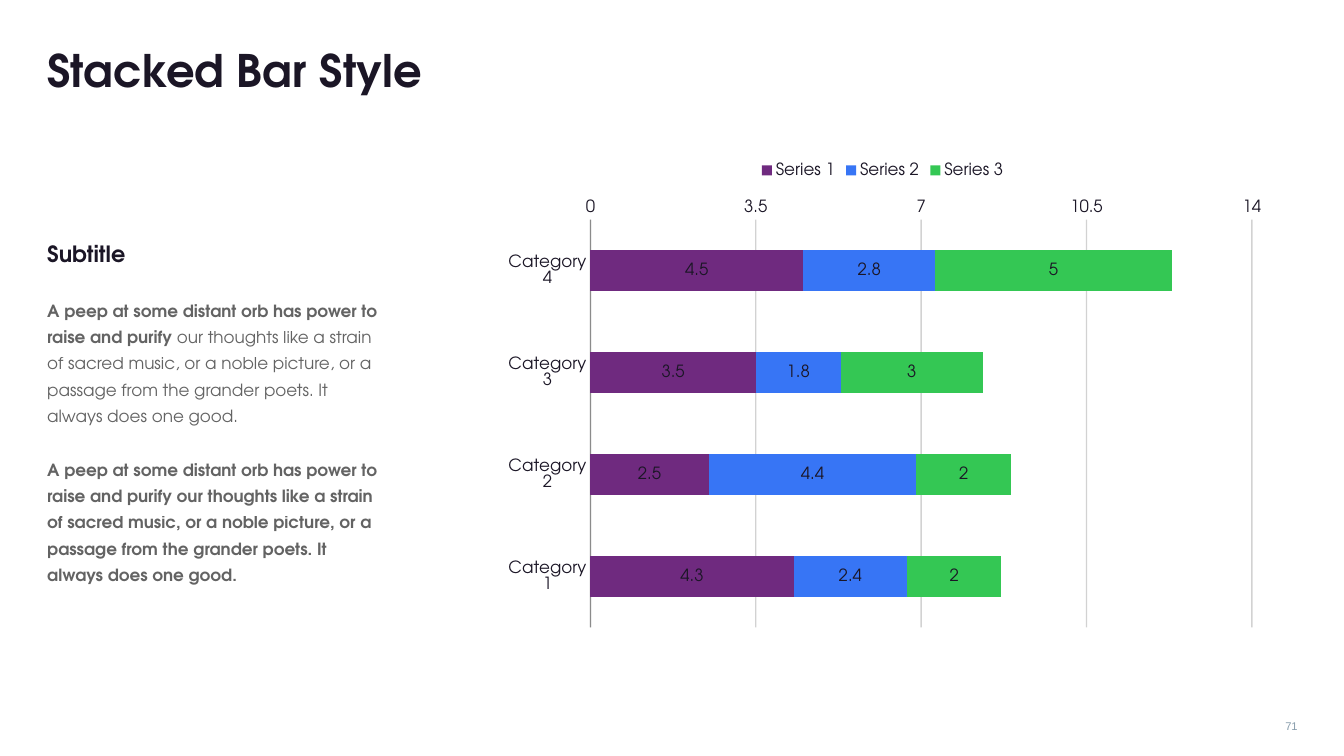
from lxml.etree import SubElement
from pptx import Presentation
from pptx.chart.data import CategoryChartData
from pptx.dml.color import RGBColor
from pptx.enum.chart import (XL_AXIS_CROSSES, XL_CHART_TYPE, XL_LABEL_POSITION,
                             XL_LEGEND_POSITION, XL_TICK_MARK)
from pptx.enum.text import MSO_ANCHOR, PP_ALIGN
from pptx.oxml import parse_xml
from pptx.oxml.ns import nsdecls, qn
from pptx.util import Inches, Pt

FONT = "TeX Gyre Adventor"
INK = "1B1626"
GRAY = "222222"
LEAD = "A peep at some distant orb has power to raise and purify "
REST = ("our thoughts like a strain of sacred music, or a noble picture, "
        "or a passage from the grander poets. It always does one good.")
CATEGORIES = ["Category 4", "Category 3", "Category 2", "Category 1"]
SERIES = [
    ("Series 1", (4.5, 3.5, 2.5, 4.3), "6F2A7F"),
    ("Series 2", (2.8, 1.8, 4.4, 2.4), "3775F5"),
    ("Series 3", (5, 3, 2, 2), "34C754"),
]
PLOT_LAYOUT = {"x": 0.11, "y": 0.14, "w": 0.88, "h": 0.81}
PLOT_LAYOUT.update(x=0.113, y=0.136, w=0.876, h=0.809)


def set_values(target, values):
    for name, value in values.items():
        setattr(target, name, value)


def paint(fill, color, opacity=100):
    fill.solid()
    fill.fore_color.rgb = RGBColor.from_string(color)
    if opacity < 100:
        for node in fill._xPr.xpath("./a:solidFill/a:srgbClr"):
            SubElement(node, qn("a:alpha")).set("val", str(opacity * 1000))


def style_line(line, opacity):
    paint(line.fill, GRAY, opacity)
    line.width = Pt(1)


def add_text(slide, box, paragraphs, anchor=MSO_ANCHOR.TOP, **paragraph_format):
    shape = slide.shapes.add_textbox(*map(Inches, box))
    frame = shape.text_frame
    set_values(frame, {"word_wrap": True, "vertical_anchor": anchor})
    for index, runs in enumerate(paragraphs):
        paragraph = frame.paragraphs[0] if index == 0 else frame.add_paragraph()
        set_values(paragraph, paragraph_format)
        if index:
            paragraph.space_before = Pt(20)
        for text, size, bold, color, opacity, font_name in runs:
            run = paragraph.add_run()
            run.text = text
            set_values(run.font, {"name": font_name, "size": Pt(size), "bold": bold})
            paint(run.font.fill, color, opacity)


def heading(text, size):
    return [(text, size, True, INK, 100, FONT)]


def body(text, bold):
    return (text, 12, bold, GRAY, 70, FONT)


def place_plot(chart):
    plot_area = chart.element.xpath("c:chart/c:plotArea")[0]
    for old_layout in plot_area.findall(qn("c:layout")):
        plot_area.remove(old_layout)
    modes = "".join(f'<c:{side}Mode val="edge"/>' for side in "xy")
    sizes = "".join(f'<c:{key} val="{value}"/>' for key, value in PLOT_LAYOUT.items())
    plot_area.insert(0, parse_xml(
        f'<c:layout {nsdecls("c")}><c:manualLayout><c:layoutTarget val="inner"/>'
        f"{modes}{sizes}</c:manualLayout></c:layout>"))


def style_axes(chart):
    no_ticks = {"major_tick_mark": XL_TICK_MARK.NONE, "minor_tick_mark": XL_TICK_MARK.NONE}
    set_values(chart.category_axis, no_ticks | {
        "reverse_order": True, "crosses": XL_AXIS_CROSSES.MAXIMUM,
        "has_major_gridlines": False})
    set_values(chart.value_axis, no_ticks | {
        "minimum_scale": 0, "maximum_scale": 14, "major_unit": 3.5,
        "has_major_gridlines": True})
    set_values(chart.value_axis.tick_labels, {
        "number_format": "General", "number_format_is_linked": False})
    style_line(chart.category_axis.format.line, 40)
    chart.value_axis.format.line.fill.background()
    style_line(chart.value_axis.major_gridlines.format.line, 20)


def add_stacked_chart(slide, box):
    data = CategoryChartData()
    data.categories = CATEGORIES
    for name, values, _ in SERIES:
        data.add_series(name, values)
    chart = slide.shapes.add_chart(XL_CHART_TYPE.BAR_STACKED, *map(Inches, box), data).chart
    set_values(chart, {"has_title": False, "has_legend": True})
    set_values(chart.font, {"name": FONT, "size": Pt(12)})
    paint(chart.font.fill, INK)
    set_values(chart.legend, {"position": XL_LEGEND_POSITION.TOP, "include_in_layout": True})
    plot = chart.plots[0]
    set_values(plot, {"gap_width": 150, "overlap": 100, "vary_by_categories": False})
    for series, (_, _, color) in zip(plot.series, SERIES):
        paint(series.format.fill, color)
        set_values(series.data_labels, {
            "show_value": True, "position": XL_LABEL_POSITION.CENTER,
            "number_format": "General", "number_format_is_linked": False})
    style_axes(chart)
    place_plot(chart)


def main():
    presentation = Presentation()
    set_values(presentation, {"slide_width": Inches(13.33), "slide_height": Inches(7.5)})
    slide = presentation.slides.add_slide(presentation.slide_layouts[6])
    add_text(slide, (12.41, 7.09, 0.56, 0.24), [[("71", 8, False, "889DAC", 100, "Arial")]],
             alignment=PP_ALIGN.RIGHT)
    add_text(slide, (0.37, 0.36, 12.59, 0.66), [heading("Stacked Bar Style", 32)],
             MSO_ANCHOR.MIDDLE)
    add_text(slide, (0.37, 2.25, 3.54, 3.92), [
        heading("Subtitle", 16),
        [body(LEAD, True), body(REST, False)],
        [body(LEAD + REST, True)],
    ], line_spacing=1.3)
    add_stacked_chart(slide, (5.01, 1.5, 7.5, 5))
    presentation.save("out.pptx")


if __name__ == "__main__":
    main()
